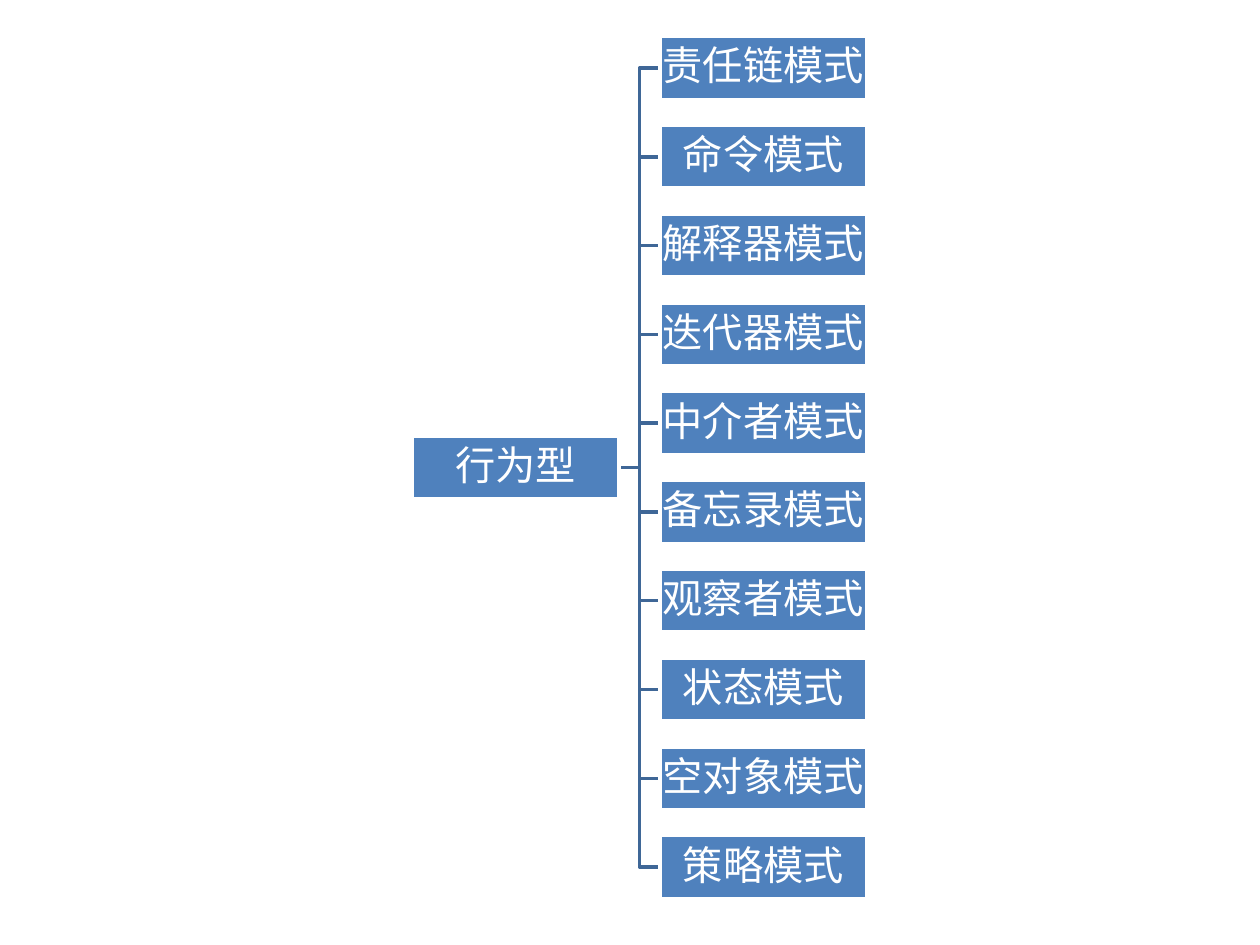
"""Draw a tree of the behavioural design patterns."""
from pptx import Presentation
from pptx.dml.color import RGBColor
from pptx.enum.shapes import MSO_SHAPE
from pptx.enum.text import MSO_ANCHOR, PP_ALIGN
from pptx.util import Cm, Pt


def paint(part, color):
    if hasattr(part, "solid"):
        part.solid()
        part.fore_color.rgb = RGBColor.from_string(color)
    else:
        part.color.rgb = RGBColor.from_string(color)


def write(shape, text, size=23, font="Calibri", color="FFFFFF", inset=0.04):
    frame = shape.text_frame
    frame.word_wrap = True
    frame.vertical_anchor = MSO_ANCHOR.MIDDLE
    frame.margin_left = frame.margin_right = Cm(inset)
    frame.margin_top = frame.margin_bottom = Cm(inset)
    line = frame.paragraphs[0]
    line.alignment = PP_ALIGN.CENTER
    line.line_spacing = 0.9
    run = line.add_run()
    run.text = text
    run.font.size = Pt(size)
    run.font.name = font
    paint(run.font, color)


deck = Presentation()
deck.slide_width, deck.slide_height = Cm(25.4), Cm(19.05)
slide = deck.slides.add_slide(deck.slide_layouts[6])

root = "行为型"
leaves = ["责任链模式", "命令模式", "解释器模式", "迭代器模式", "中介者模式",
          "备忘录模式", "观察者模式", "状态模式", "空对象模式", "策略模式"]
width, height, pitch, first = 4.16, 1.27, 1.79, 1.37
left, right = 8.32, 13.31
start = left + width
bend = (start + right) / 2
rows = [first + pitch * i for i in range(len(leaves))]
middle = (rows[0] + rows[-1]) / 2

for row in reversed(rows):
    pen = slide.shapes.build_freeform(Cm(start), Cm(middle))
    points = [(bend, middle), (bend, row), (right, row)]
    pen.add_line_segments([(Cm(x), Cm(y)) for x, y in points], close=False)
    branch = pen.convert_to_shape()
    branch.shadow.inherit = False
    branch.fill.background()
    branch.line.width = Pt(2)
    paint(branch.line, "3F6797")

nodes = [(root, left, middle)] + [(leaf, right, row) for leaf, row in zip(leaves, rows)]
for label, x, y in nodes:
    box = slide.shapes.add_shape(
        MSO_SHAPE.RECTANGLE, Cm(x), Cm(y - height / 2), Cm(width), Cm(height))
    box.shadow.inherit = False
    paint(box.fill, "4F81BD")
    box.line.width = Pt(2)
    paint(box.line, "FFFFFF")
    write(box, label)

deck.save("out.pptx")
